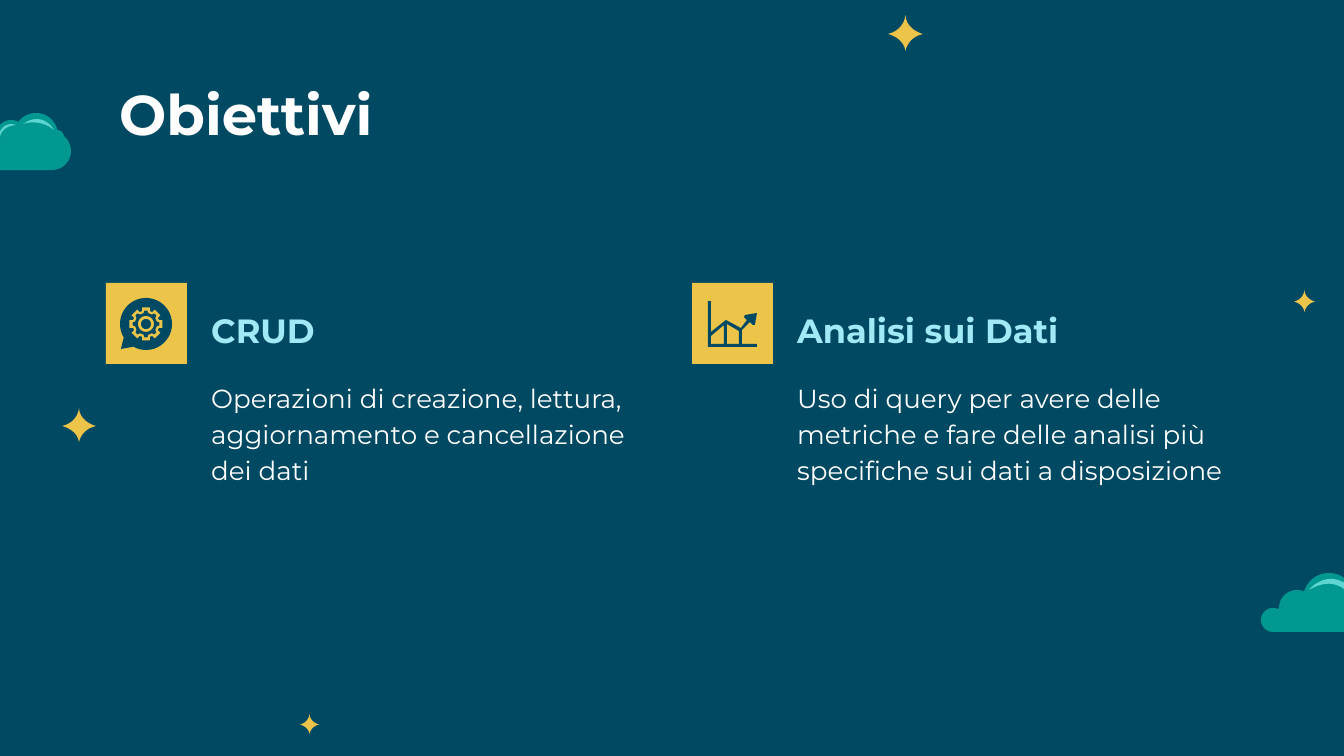
import math
import pptx
import pptx.util
import pptx.dml.color
import pptx.enum.shapes
import pptx.enum.text

UNIT = 914400 / 134.4
ANCHOR = pptx.enum.text.MSO_ANCHOR

THEME = {
    "back": "004962",
    "gold": "EDC44A",
    "teal": "009890",
    "shine": "5ED5D1",
    "title": {"size": 30, "bold": True, "color": "FFFFFF"},
    "head": {"size": 18, "bold": True, "color": "A1E9F6"},
    "body": {"size": 14, "bold": False, "color": "FFFFFF"},
    "font": "Montserrat",
}


def px(n):
    return pptx.util.Emu(round(n * UNIT))


def tint(name):
    return pptx.dml.color.RGBColor.from_string(name)


def paint(shape, color):
    shape.shadow.inherit = False
    shape.fill.solid()
    shape.fill.fore_color.rgb = tint(THEME[color])
    shape.line.fill.background()


def arc(x, y, r, start, end):
    steps = max(4, math.ceil(abs(end - start) / 8))
    turns = [math.radians(start + (end - start) * i / steps) for i in range(steps + 1)]
    return [(x + r * math.cos(t), y + r * math.sin(t)) for t in turns]


def sweep(start, *pairs):
    points = [start]
    for pull, end in pairs:
        a = points[-1]
        for i in range(1, 11):
            t = i / 10
            u = 1 - t
            points.append(tuple(
                (u ** 3 + 3 * u * u * t) * a[k] + 3 * u * t * t * pull[k] + t ** 3 * end[k]
                for k in (0, 1)))
    return points


def cog(x, y, tip, root, top, base):
    points = []
    for mid in range(0, 360, 45):
        for r, turn in ((root, -base), (tip, -top), (tip, top), (root, base)):
            t = math.radians(mid + turn)
            points.append((x + r * math.cos(t), y + r * math.sin(t)))
    return points


def draw(shapes, left, top, color, *rings):
    rings = [[(px(left + x), px(top + y)) for x, y in ring] for ring in rings]
    pen = shapes.build_freeform(*rings[0][0])
    pen.add_line_segments(rings[0][1:])
    for ring in rings[1:]:
        pen.move_to(*ring[0])
        pen.add_line_segments(ring[1:])
    paint(pen.convert_to_shape(), color)


def star(slide, left, top, wide, high):
    shape = sweep((0.5, 0), ((0.48, 0.42), (0, 0.53)), ((0.44, 0.62), (0.5, 1)),
                  ((0.56, 0.62), (1, 0.53)), ((0.52, 0.42), (0.5, 0)))
    draw(slide.shapes, left, top, "gold", [(x * wide, y * high) for x, y in shape])


def cloud(slide, left, top, lobes, shines):
    group = slide.shapes.add_group_shape().shapes
    draw(group, left, top, "teal", [p for lobe in lobes for p in arc(*lobe)])
    for shine in shines:
        draw(group, left, top, "shine", sweep(*shine))


def write(slide, left, top, wide, high, text, style, anchor=ANCHOR.TOP, space=1.15):
    frame = slide.shapes.add_textbox(px(left), px(top), px(wide), px(high)).text_frame
    inset = pptx.util.Inches(0.1)
    values = {"word_wrap": True, "vertical_anchor": anchor, "margin_left": inset,
              "margin_top": inset, "margin_right": inset, "margin_bottom": inset}
    for key, value in values.items():
        setattr(frame, key, value)
    line = frame.paragraphs[0]
    line.line_spacing = space
    run = line.add_run()
    run.text = text
    look = THEME[style]
    values = {"name": THEME["font"], "size": pptx.util.Pt(look["size"]), "bold": look["bold"]}
    for key, value in values.items():
        setattr(run.font, key, value)
    run.font.color.rgb = tint(look["color"])


def gear(slide, left, top):
    group = slide.shapes.add_group_shape().shapes
    x, y = 40, 41
    draw(group, left, top, "back", cog(x, y, 13.4, 11, 6, 13), arc(x, y, 8, 0, 360))
    draw(group, left, top, "back", arc(x, y, 26, 149, 479) + [(15, 66)],
         cog(x, y, 17, 13.5, 14, 18))
    draw(group, left, top, "back", arc(x, y, 5, 0, 360))


def graph(slide, left, top):
    edge = [(16, 18), (19, 18), (19, 49), (34, 37), (49, 45), (55, 37), (52, 34), (53, 32),
            (65, 30), (63, 42), (61, 42), (58, 39), (50, 47), (50, 61), (65, 61), (65, 64),
            (16, 64)]
    gaps = [[(32, 42), (32, 61), (19, 61), (19, 53)],
            [(35, 41), (47, 48), (47, 61), (35, 61)]]
    draw(slide.shapes, left, top, "back", edge, *gaps)


def goal(slide, left, top, icon, head, body):
    tile = slide.shapes.add_shape(pptx.enum.shapes.MSO_SHAPE.RECTANGLE,
                                  px(left), px(top), px(81), px(81))
    paint(tile, "gold")
    icon(slide, left, top)
    write(slide, left + 92, top + 18, 454, 63, head, "head", ANCHOR.BOTTOM)
    write(slide, left + 92, top + 81, 454, 239, body, "body")


def scene(slide):
    for box in ((1294, 290, 21, 22), (62, 408, 34, 34), (888, 15, 35, 36), (300, 714, 19, 20)):
        star(slide, *box)
    cloud(slide, -20, 113,
          [(72, 38, 19, -50, 90), (19, 38, 19, 90, 260), (31, 22, 15, 190, 300),
           (56, 22, 22, 218, 350), (77, 24, 7, -85, -5)],
          [[(74, 17), ((63, -3), (43, 11)), ((60, 5), (74, 17))],
           [(36, 12), ((24, 7), (19, 21)), ((4, 24), (4, 39)),
            ((4, 25), (20, 24)), ((21, 13), (36, 12))]])
    cloud(slide, 1261, 573,
          [(12, 47, 12, 90, 295), (36, 35, 18, 180, 293), (68, 26, 26, 198, 330),
           (96, 31, 19, 255, 368), (117, 47, 12, 270, 450)],
          [[(123, 48), ((122, 41), (110, 39)), ((110, 18), (88, 21)), ((74, 1), (48, 17)),
            ((57, 5), (72, 6)), ((87, 8), (90, 17)), ((100, 16), (107, 21)),
            ((114, 28), (113, 36)), ((122, 37), (123, 48))]])


def main():
    deck = pptx.Presentation()
    deck.slide_width, deck.slide_height = px(1344), px(756)
    slide = deck.slides.add_slide(deck.slide_layouts[6])
    slide.background.fill.solid()
    slide.background.fill.fore_color.rgb = tint(THEME["back"])
    scene(slide)
    write(slide, 106, 66, 1133, 85, "Obiettivi", "title", space=1.0)
    goals = [
        (gear, "CRUD",
         "Operazioni di creazione, lettura, aggiornamento e cancellazione dei dati"),
        (graph, "Analisi sui Dati",
         "Uso di query per avere delle metriche e fare delle analisi più specifiche "
         "sui dati a disposizione"),
    ]
    for i, parts in enumerate(goals):
        goal(slide, 106 + 586 * i, 283, *parts)
    deck.save("out.pptx")


if __name__ == "__main__":
    main()
